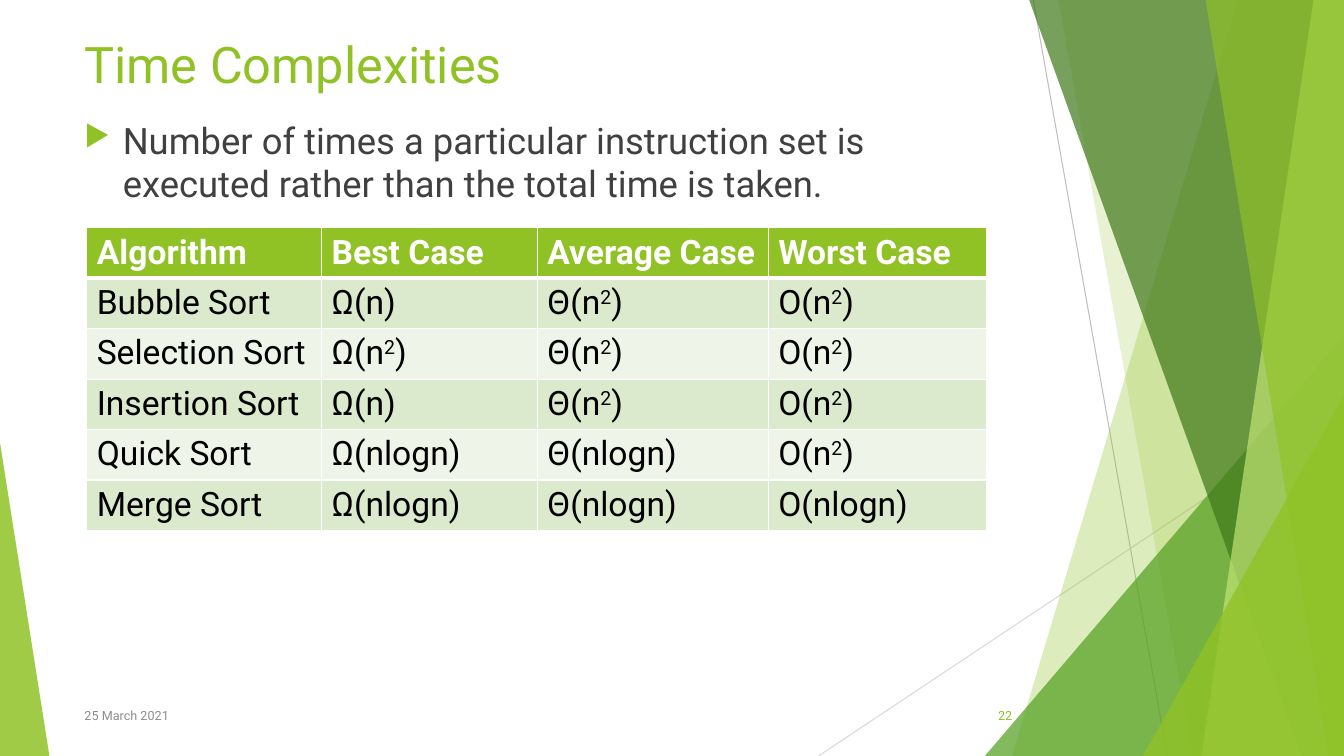
from dataclasses import dataclass

from lxml import etree
from pptx import Presentation
from pptx.dml.color import RGBColor
from pptx.enum.shapes import MSO_CONNECTOR, MSO_SHAPE
from pptx.enum.text import MSO_ANCHOR, PP_ALIGN
from pptx.oxml.ns import qn
from pptx.util import Inches, Pt

STRAIGHT = MSO_CONNECTOR.STRAIGHT
TRIANGLE = MSO_SHAPE.ISOSCELES_TRIANGLE
TOP, MIDDLE = MSO_ANCHOR.TOP, MSO_ANCHOR.MIDDLE
LEFT, RIGHT = PP_ALIGN.LEFT, PP_ALIGN.RIGHT


@dataclass(frozen=True)
class Theme:
    font: str = "Roboto"
    lime: str = "90C226"
    pale_lime: str = "C0E474"
    green: str = "54A021"
    forest: str = "3F7819"
    body: str = "404040"
    muted: str = "8C8C8C"
    white: str = "FFFFFF"
    black: str = "000000"
    bands: tuple = ("DBE9CD", "EEF4E8")
    dark_line: str = "BFBFBF"
    light_line: str = "D9D9D9"
    title_size: int = 36
    body_size: int = 26
    table_size: int = 24
    footer_size: int = 9


class SlideBuilder:
    def __init__(self, deck, theme):
        self.theme = theme
        self.width, self.height = deck.slide_width, deck.slide_height
        self.slide = deck.slides.add_slide(deck.slide_layouts[6])
        self.shapes = self.slide.shapes

    def x(self, percent):
        return round(self.width * percent / 100)

    def y(self, percent):
        return round(self.height * percent / 100)

    def frame(self, left, top, width, height):
        return self.x(left), self.y(top), self.x(width), self.y(height)

    def line(self, start, end, color):
        line = self.shapes.add_connector(
            STRAIGHT, self.x(start[0]), self.y(start[1]), self.x(end[0]), self.y(end[1]))
        line.line.color.rgb = RGBColor.from_string(color)
        line.line.width = Pt(0.75)
        etree.SubElement(line._element.spPr, qn("a:effectLst"))

    def paint(self, shape, color, opacity):
        shape.shadow.inherit = False
        shape.line.fill.background()
        shape.fill.solid()
        shape.fill.fore_color.rgb = RGBColor.from_string(color)
        tint = shape._element.spPr.find(qn("a:solidFill"))[0]
        etree.SubElement(tint, qn("a:alpha")).set("val", str(opacity * 1000))

    def shard(self, top_x, bottom_x, color, opacity):
        outline = self.shapes.build_freeform(self.x(top_x), 0)
        outline.add_line_segments(
            [(self.width, 0), (self.width, self.height), (self.x(bottom_x), self.height)])
        self.paint(outline.convert_to_shape(), color, opacity)

    def corner(self, left, top, width, apex, color, opacity):
        triangle = self.shapes.add_shape(TRIANGLE, *self.frame(left, top, width, 100 - top))
        triangle.adjustments[0] = apex
        self.paint(triangle, color, opacity)

    def fill_para(self, para, text, size, color, bold=False):
        para.font.name = self.theme.font
        para.font.size = Pt(size)
        para.font.bold = bold
        para.font.color.rgb = RGBColor.from_string(color)
        head, *powers = text.split("^")
        para.add_run().text = head
        for power in powers:
            raised = para.add_run()
            raised.text = power[0]
            raised._r.get_or_add_rPr().set("baseline", "30000")
            para.add_run().text = power[1:]

    def text(self, place, text, size, color, anchor=TOP, align=LEFT):
        box = self.shapes.add_textbox(*self.frame(*place))
        box.text_frame.word_wrap = True
        box.text_frame.vertical_anchor = anchor
        para = box.text_frame.paragraphs[0]
        para.alignment = align
        self.fill_para(para, text, size, color)
        return para

    def bullet(self, place, text, size, color):
        para = self.text(place, text, size, color)
        para.space_before = Pt(10)
        properties = para._p.get_or_add_pPr()
        indent = Inches(0.38)
        properties.set("marL", str(indent))
        properties.set("indent", str(-indent))
        bullet_color = etree.Element(qn("a:buClr"))
        etree.SubElement(bullet_color, qn("a:srgbClr")).set("val", self.theme.lime)
        bullet_size = etree.Element(qn("a:buSzPct"))
        bullet_size.set("val", "80000")
        bullet_mark = etree.Element(qn("a:buChar"))
        bullet_mark.set("char", "▶")
        defaults = properties.find(qn("a:defRPr"))
        for element in (bullet_color, bullet_size, bullet_mark):
            defaults.addprevious(element)

    def borders(self, cell, top, bottom):
        properties = cell._tc.get_or_add_tcPr()
        widths = {"lnL": 1, "lnR": 1, "lnT": top, "lnB": bottom}
        for position, (side, width) in enumerate(widths.items()):
            edge = etree.Element(qn(f"a:{side}"))
            edge.set("w", str(Pt(width)))
            fill = etree.SubElement(edge, qn("a:solidFill"))
            etree.SubElement(fill, qn("a:srgbClr")).set("val", self.theme.white)
            properties.insert(position, edge)

    def table(self, left, top, column_widths, row_height, rows):
        theme = self.theme
        place = self.frame(left, top, sum(column_widths), row_height * len(rows))
        table = self.shapes.add_table(len(rows), len(column_widths), *place).table
        for column, width in zip(table.columns, column_widths):
            column.width = self.x(width)
        for r, row in enumerate(rows):
            table.rows[r].height = self.y(row_height)
            header = r == 0
            fill = theme.lime if header else theme.bands[(r - 1) % 2]
            ink = theme.white if header else theme.black
            for c, text in enumerate(row):
                cell = table.cell(r, c)
                cell.fill.solid()
                cell.fill.fore_color.rgb = RGBColor.from_string(fill)
                self.borders(cell, 3 if r == 1 else 1, 3 if header else 1)
                self.fill_para(cell.text_frame.paragraphs[0], text, theme.table_size, ink, header)


COMPLEXITIES = [
    ("Algorithm", "Best Case", "Average Case", "Worst Case"),
    ("Bubble Sort", "Ω(n)", "Θ(n^2)", "O(n^2)"),
    ("Selection Sort", "Ω(n^2)", "Θ(n^2)", "O(n^2)"),
    ("Insertion Sort", "Ω(n)", "Θ(n^2)", "O(n^2)"),
    ("Quick Sort", "Ω(nlogn)", "Θ(nlogn)", "O(n^2)"),
    ("Merge Sort", "Ω(nlogn)", "Θ(nlogn)", "O(nlogn)"),
]

deck = Presentation()
deck.slide_width, deck.slide_height = Inches(13.33), Inches(7.5)
theme = Theme()
page = SlideBuilder(deck, theme)

page.line((76.88, 0), (86.85, 100), theme.dark_line)
page.line((100, 53.73), (60.9, 100), theme.light_line)
page.shard(92.1, 75.3, theme.lime, 30)
page.shard(78.75, 88.73, theme.lime, 20)
page.corner(73.28, 44.4, 26.72, 1, theme.green, 72)
page.shard(76.58, 96.83, theme.forest, 70)
page.shard(97.73, 89.4, theme.pale_lime, 70)
page.shard(89.7, 98.85, theme.lime, 65)
page.corner(85.05, 52.4, 14.95, 1, theme.lime, 80)
page.corner(0, 58.53, 3.68, 0, theme.lime, 85)

page.text((5.55, 3.73, 70.5, 9.73), "Time Complexities", theme.title_size, theme.lime)
page.bullet(
    (5.55, 14.93, 70.5, 77.07),
    "Number of times a particular instruction set is executed rather than the total time is taken.",
    theme.body_size, theme.body)
page.text((70.43, 92, 5.62, 5.33), "22", theme.footer_size, theme.lime, MIDDLE, RIGHT)
page.text((5.55, 92, 51.68, 5.33), "25 March 2021", theme.footer_size, theme.muted, MIDDLE)
page.table(6.45, 30.13, (17.48, 16.05, 17.18, 16.28), 6.55, COMPLEXITIES)

deck.save("out.pptx")
